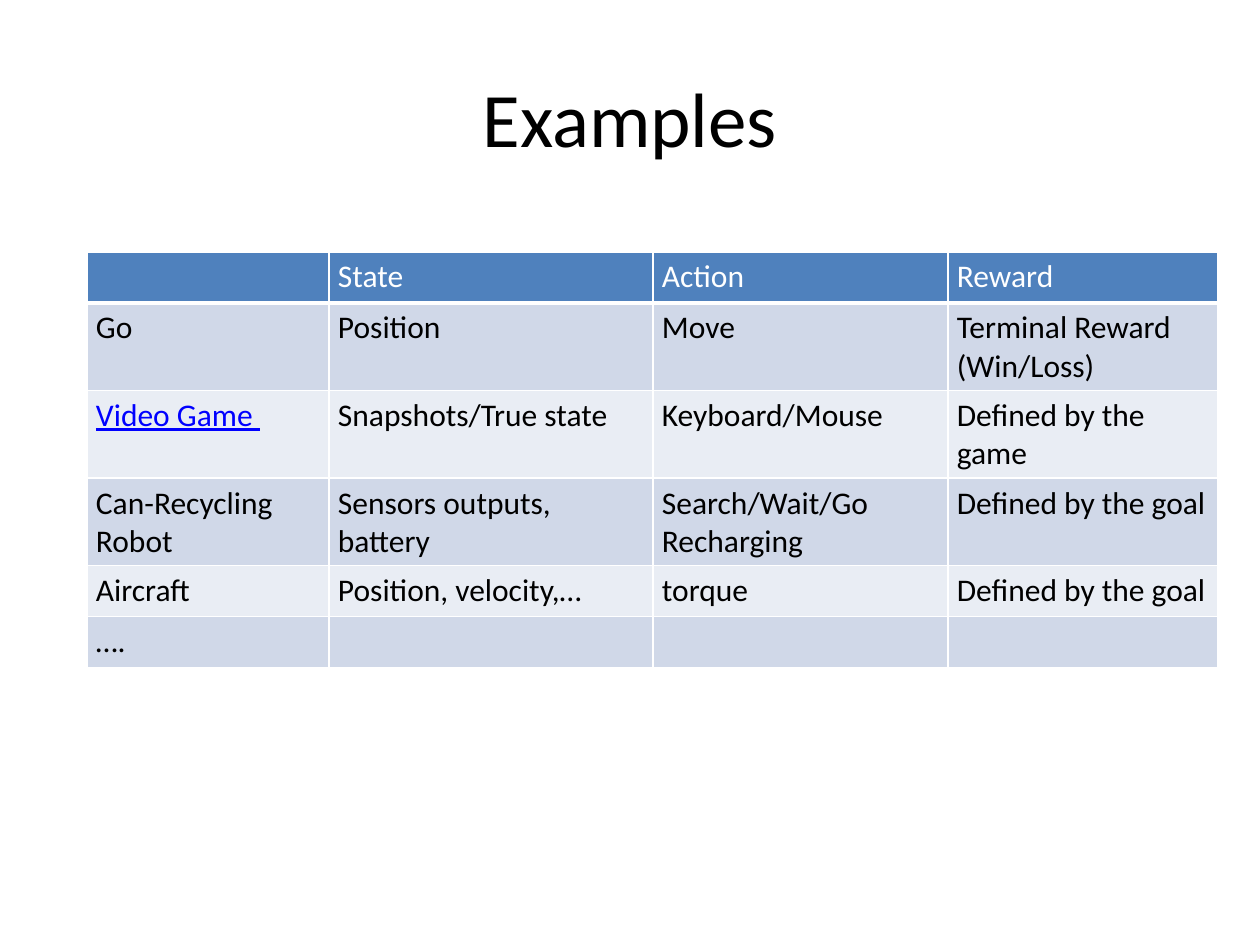
from dataclasses import dataclass

import lxml.etree
import pptx
import pptx.dml.color
import pptx.enum.text
import pptx.oxml.ns
import pptx.util

PX = pptx.util.Inches(1) // 126
FONT = "Calibri"
COLORS = {
    "header": "4F81BD",
    "odd_band": "D0D8E8",
    "even_band": "E9EDF4",
    "border": "FFFFFF",
    "header_text": "FFFFFF",
    "text": "000000",
    "link": "0000FF",
}

COLUMN_WIDTHS = [242, 324, 295, 270]
ROW_HEIGHT = 51
LINK_TEXT = "Video Game "
ROWS = [
    ["", "State", "Action", "Reward"],
    ["Go", "Position", "Move", "Terminal Reward (Win/Loss)"],
    [LINK_TEXT, "Snapshots/True state", "Keyboard/Mouse", "Defined by the game"],
    ["Can-Recycling Robot", "Sensors outputs, battery", "Search/Wait/Go Recharging",
     "Defined by the goal"],
    ["Aircraft", "Position, velocity,…", "torque", "Defined by the goal"],
    ["….", "", "", ""],
]


@dataclass(frozen=True)
class RowStyle:
    fill: str
    text: str
    bottom_border: int


HEADER = RowStyle("header", "header_text", 3)
BANDS = [RowStyle("odd_band", "text", 1), RowStyle("even_band", "text", 1)]


def px(length: int) -> int:
    return length * PX


def rgb(name: str) -> pptx.dml.color.RGBColor:
    return pptx.dml.color.RGBColor.from_string(COLORS[name])


def add_span(para, text: str, size: int, color: str, underline: bool = False) -> None:
    span = para.add_run()
    span.text = text
    span.font.name = FONT
    span.font.size = pptx.util.Pt(size)
    span.font.bold = False
    span.font.underline = underline
    span.font.color.rgb = rgb(color)


def add_borders(cell, bottom: int) -> None:
    qn = pptx.oxml.ns.qn
    properties = cell._tc.get_or_add_tcPr()
    for side, width in (("L", 1), ("R", 1), ("T", 1), ("B", bottom)):
        line = lxml.etree.SubElement(properties, qn(f"a:ln{side}"), w=str(pptx.util.Pt(width)))
        fill = lxml.etree.SubElement(line, qn("a:solidFill"))
        lxml.etree.SubElement(fill, qn("a:srgbClr"), val=COLORS["border"])


def fill_cell(cell, text: str, style: RowStyle) -> None:
    cell.margin_left = cell.margin_right = px(9)
    cell.margin_top = cell.margin_bottom = px(6)
    add_borders(cell, style.bottom_border)
    cell.fill.solid()
    cell.fill.fore_color.rgb = rgb(style.fill)
    para = cell.text_frame.paragraphs[0]
    para.font.size = pptx.util.Pt(18)
    if text:
        is_link = text == LINK_TEXT
        add_span(para, text, 18, "link" if is_link else style.text, is_link)


def add_title(page, text: str) -> None:
    box = page.shapes.add_textbox(px(63), px(38), px(1134), px(157))
    frame = box.text_frame
    frame.word_wrap = True
    frame.vertical_anchor = pptx.enum.text.MSO_ANCHOR.MIDDLE
    para = frame.paragraphs[0]
    para.alignment = pptx.enum.text.PP_ALIGN.CENTER
    add_span(para, text, 44, "text")


def add_examples_table(page) -> None:
    table = page.shapes.add_table(
        len(ROWS), len(COLUMN_WIDTHS), px(87), px(252),
        px(sum(COLUMN_WIDTHS)), px(ROW_HEIGHT * len(ROWS)),
    ).table
    table.horz_banding = False
    for column, width in zip(table.columns, COLUMN_WIDTHS):
        column.width = px(width)
    for index, texts in enumerate(ROWS):
        style = BANDS[(index - 1) % 2] if index else HEADER
        for cell, text in zip(table.rows[index].cells, texts):
            fill_cell(cell, text, style)


def main() -> None:
    deck = pptx.Presentation()
    deck.slide_width, deck.slide_height = px(1260), px(945)
    page = deck.slides.add_slide(deck.slide_layouts[6])

    # Heading
    add_title(page, "Examples")

    # State, action and reward of each example
    add_examples_table(page)

    deck.save("out.pptx")


if __name__ == "__main__":
    main()
